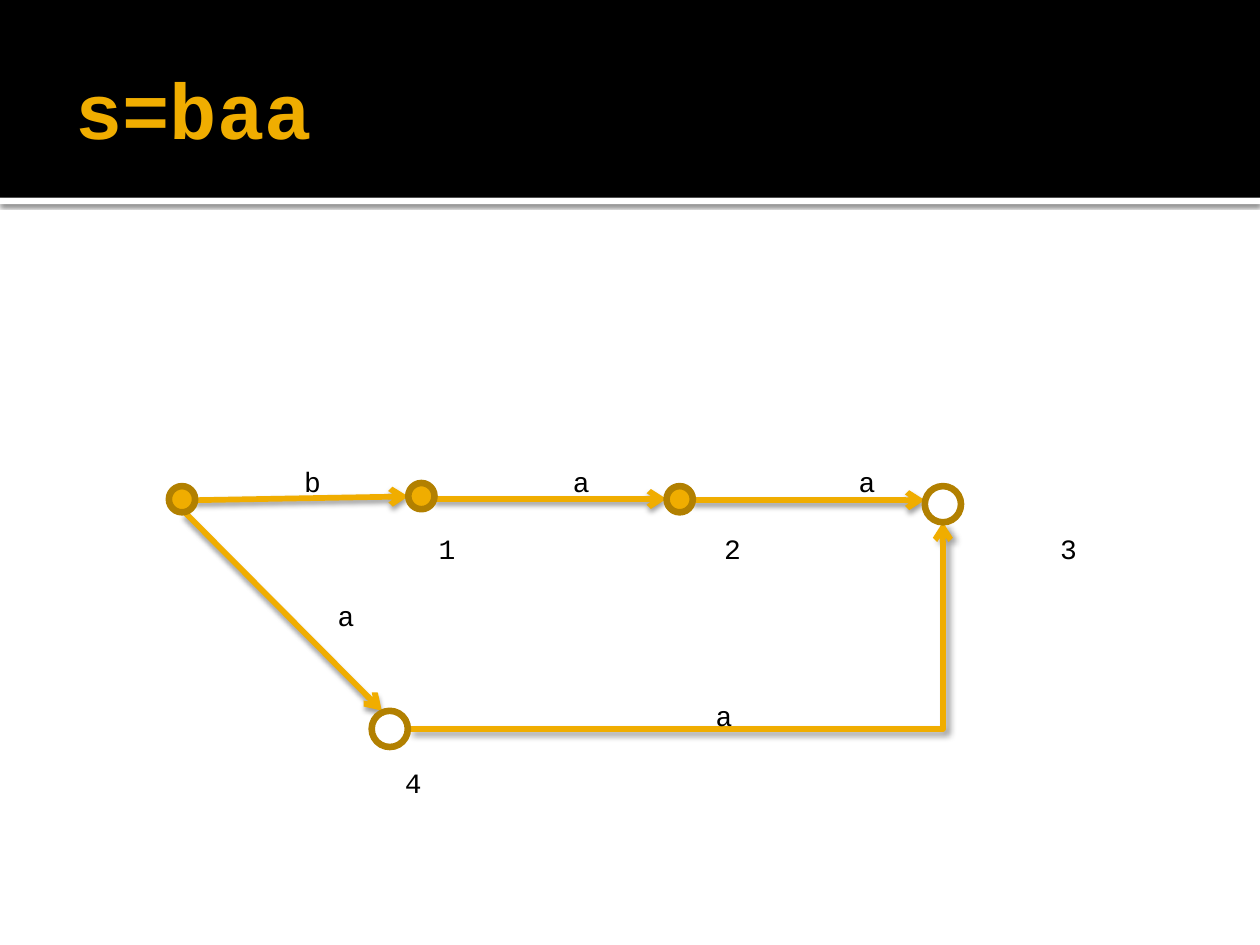
from lxml import etree
from pptx import Presentation
from pptx.dml.color import RGBColor
from pptx.enum.shapes import MSO_CONNECTOR, MSO_SHAPE
from pptx.enum.text import MSO_ANCHOR, PP_ALIGN
from pptx.oxml.ns import qn
from pptx.util import Pt

STRAIGHT, ELBOW = MSO_CONNECTOR.STRAIGHT, MSO_CONNECTOR.ELBOW
RECT, OVAL = MSO_SHAPE.RECTANGLE, MSO_SHAPE.OVAL
LEFT, CENTER = PP_ALIGN.LEFT, PP_ALIGN.CENTER
TOP, MIDDLE = MSO_ANCHOR.TOP, MSO_ANCHOR.MIDDLE
COLORS = {"gold": "F0AD00", "ring": "B28000", "black": "000000", "white": "FFFFFF"}
FONT = "Courier New"

prs = Presentation()
prs.slide_width, prs.slide_height = Pt(720), Pt(540)
slide = prs.slides.add_slide(prs.slide_layouts[6])
shapes = slide.shapes


def add_text(text, x, y, w, h, size=16, color="black", bold=False,
             align=CENTER, anchor=TOP, margins=(0, 0, 0, 0)):
    box = shapes.add_textbox(Pt(x), Pt(y), Pt(w), Pt(h))
    frame = box.text_frame
    frame.word_wrap = True
    frame.vertical_anchor = anchor
    (frame.margin_left, frame.margin_top,
     frame.margin_right, frame.margin_bottom) = [Pt(m) for m in margins]
    paragraph = frame.paragraphs[0]
    paragraph.alignment = align
    run = paragraph.add_run()
    run.text = text
    run.font.name, run.font.size, run.font.bold = FONT, Pt(size), bold
    run.font.color.rgb = RGBColor.from_string(COLORS[color])


def add_shadow(shape, alpha, blur, dist, angle):
    properties = shape._element.spPr
    for old in properties.findall(qn("a:effectLst")):
        properties.remove(old)
    effects = etree.SubElement(properties, qn("a:effectLst"))
    shadow = etree.SubElement(
        effects, qn("a:outerShdw"), blurRad=str(Pt(blur)), dist=str(Pt(dist)),
        dir=str(angle * 60000), algn="tl", rotWithShape="0")
    tint = etree.SubElement(shadow, qn("a:srgbClr"), val=COLORS["black"])
    etree.SubElement(tint, qn("a:alpha"), val=str(alpha * 1000))


# Header band with a white strip below it
for top, height, color in [(113.04, 3.6, "white"), (0, 113.04, "black")]:
    band = shapes.add_shape(RECT, 0, Pt(top), Pt(720), Pt(height))
    band.shadow.inherit = False
    band.fill.solid()
    band.fill.fore_color.rgb = RGBColor.from_string(COLORS[color])
    band.line.fill.background()
    if color == "white":
        add_shadow(band, 60, 2.5, 0.8, 90)

add_text("s=baa", 36, 12.24, 460, 98.64, size=45, color="gold", bold=True,
         align=LEFT, anchor=MIDDLE, margins=(7.2, 3.6, 3.6, 3.6))

# Transitions: kind, start, end, shadow
soft = (38, 3.1, 2, 90)
transitions = [
    (STRAIGHT, (111.6, 285.84), (233.28, 283.68), soft),
    (STRAIGHT, (105.84, 293.04), (218.16, 406.08), soft),
    (STRAIGHT, (248.4, 285.12), (380.88, 285.12), soft),
    (STRAIGHT, (396, 285.84), (528.48, 285.84), soft),
    (ELBOW, (233.28, 416.6), (538.8, 298.4), (40, 4, 3, 45)),
]
for kind, start, end, shadow in transitions:
    arrow = shapes.add_connector(kind, *[Pt(v) for v in start + end])
    arrow.line.color.rgb = RGBColor.from_string(COLORS["gold"])
    arrow.line.width = Pt(3.25)
    etree.SubElement(arrow.line._get_or_add_ln(), qn("a:tailEnd"), type="arrow")
    if kind == ELBOW:
        # A single corner: across, then up
        arrow._element.spPr.find(qn("a:prstGeom")).set("prst", "bentConnector2")
    add_shadow(arrow, *shadow)

# States: left, top, diameter, fill
states = [
    (96.48, 277.8, 15, "gold"),
    (233.28, 276, 15, "gold"),
    (380.88, 277.8, 15, "gold"),
    (528.48, 277.8, 20.7, "white"),
    (212.4, 406.2, 20.7, "white"),
]
for left, top, diameter, color in states:
    state = shapes.add_shape(OVAL, Pt(left), Pt(top), Pt(diameter), Pt(diameter))
    state.shadow.inherit = False
    state.fill.solid()
    state.fill.fore_color.rgb = RGBColor.from_string(COLORS[color])
    state.line.color.rgb = RGBColor.from_string(COLORS["ring"])
    state.line.width = Pt(3.78)

# Labels on a monospaced grid: text, column, row
labels = [
    ("b", 13, 0), ("a", 29, 0), ("a", 46, 0),
    ("1", 21, 2), ("2", 38, 2), ("3", 58, 2),
    ("a", 15, 4), ("a", 37.5, 7), ("4", 19, 9),
]
for label, column, row in labels:
    add_text(label, 43.8 + 9.6 * column, 265.5 + 19.1 * row, 20, 18)

prs.save("out.pptx")
